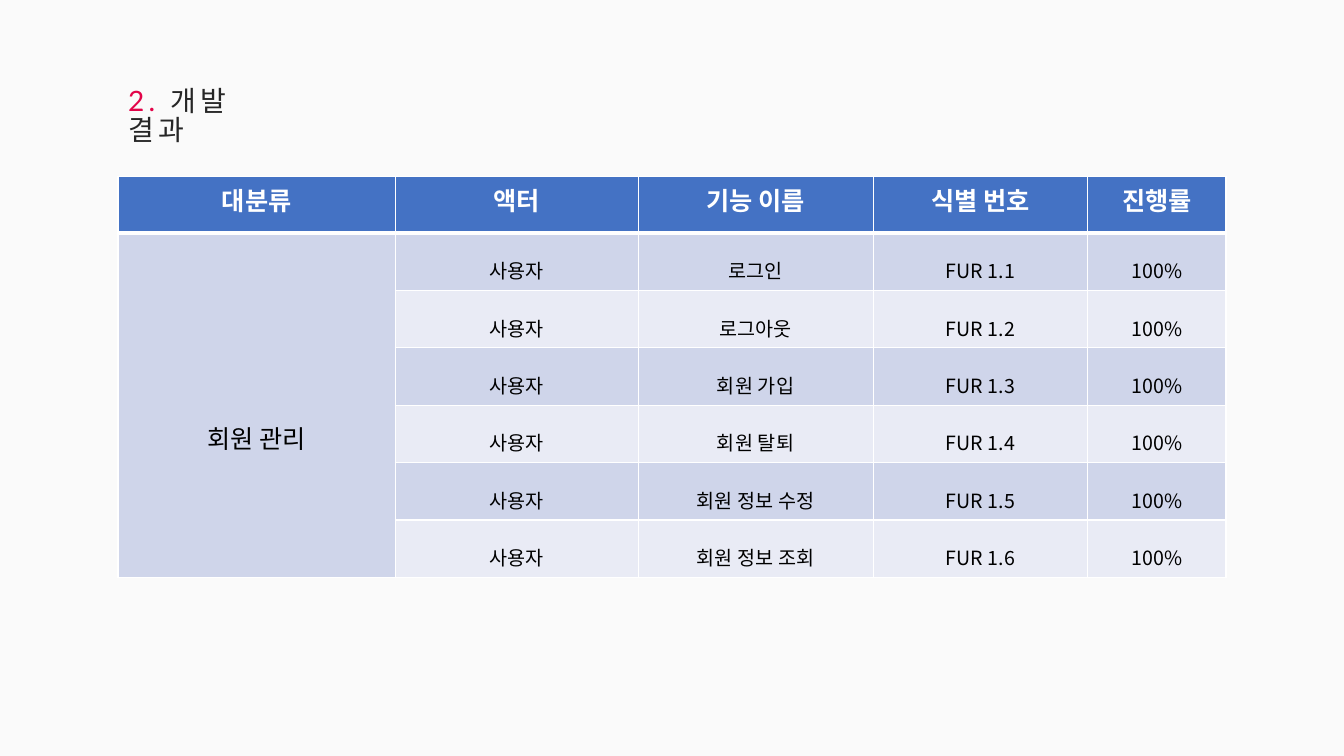
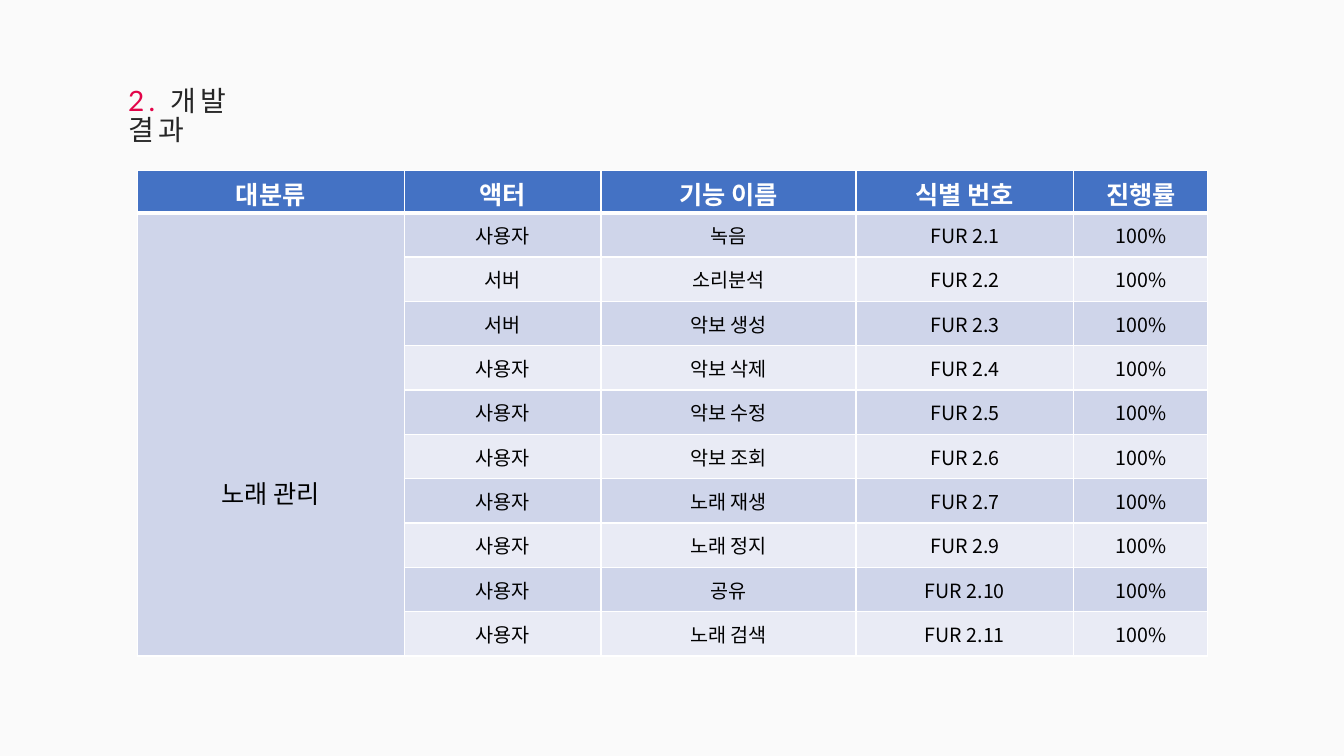
from lxml import etree
from pptx import Presentation
from pptx.dml.color import RGBColor
from pptx.enum.text import MSO_ANCHOR, MSO_AUTO_SIZE, PP_ALIGN
from pptx.oxml.ns import qn
from pptx.util import Emu, Pt

CENTER = PP_ALIGN.CENTER
LEFT = PP_ALIGN.LEFT
TOP = MSO_ANCHOR.TOP
MIDDLE = MSO_ANCHOR.MIDDLE
GROW = MSO_AUTO_SIZE.SHAPE_TO_FIT_TEXT

EMU_PER_PX = 9144
TITLE_ONLY = 5
KOREAN = "Noto Sans CJK KR"
LATIN = "Lato"
PAPER = "FAFAFA"
WHITE = "FFFFFF"
BLACK = "000000"
INK = "262626"
CRIMSON = "E20449"
BLUE = "4472C4"
BANDS = ("CFD5EA", "E9EBF5")
HEADINGS = ("대분류", "액터", "기능 이름", "식별 번호", "진행률")
USER = "사용자"
SERVER = "서버"

MEMBER_FEATURES = [
    (USER, "로그인", "FUR 1.1"),
    (USER, "로그아웃", "FUR 1.2"),
    (USER, "회원 가입", "FUR 1.3"),
    (USER, "회원 탈퇴", "FUR 1.4"),
    (USER, "회원 정보 수정", "FUR 1.5"),
    (USER, "회원 정보 조회", "FUR 1.6"),
]
SONG_FEATURES = [
    (USER, "녹음", "FUR 2.1"),
    (SERVER, "소리분석", "FUR 2.2"),
    (SERVER, "악보 생성", "FUR 2.3"),
    (USER, "악보 삭제", "FUR 2.4"),
    (USER, "악보 수정", "FUR 2.5"),
    (USER, "악보 조회", "FUR 2.6"),
    (USER, "노래 재생", "FUR 2.7"),
    (USER, "노래 정지", "FUR 2.9"),
    (USER, "공유", "FUR 2.10"),
    (USER, "노래 검색", "FUR 2.11"),
]


def px(length):
    """Turn whole pixels into EMU."""
    return Emu(length * EMU_PER_PX)


def color(value):
    """Turn a hex string into a colour."""
    return RGBColor.from_string(value)


def style_font(font, properties, size, shade, name=KOREAN, bold=False, spacing=0):
    """Format a font and its East Asian face and letter spacing."""
    font.size = Pt(size)
    font.bold = bold
    font.name = name
    font.color.rgb = color(shade)
    etree.SubElement(properties, qn("a:ea")).set("typeface", KOREAN)
    if spacing:
        properties.set("spc", str(spacing))


class ResultDeck:
    """Holds the shared style and the current page."""

    def __init__(self):
        """Start a deck with its paper colour."""
        self.deck = Presentation()
        self.deck.slide_width = px(1333)
        self.deck.slide_height = px(750)
        background = self.deck.slide_master.background.fill
        background.solid()
        background.fore_color.rgb = color(PAPER)
        self.page = None

    def add_page(self, number, heading):
        """Add a page with a numbered title."""
        self.page = self.deck.slides.add_slide(self.deck.slide_layouts[TITLE_ONLY])
        title = self.page.shapes.title
        title.left, title.top, title.width, title.height = map(px, (117, 83, 178, 44))
        frame = title.text_frame
        frame.word_wrap = True
        frame.auto_size = GROW
        frame.vertical_anchor = TOP
        para = frame.paragraphs[0]
        para.alignment = LEFT
        para.line_spacing = 0.85
        for text, name, shade in ((number, LATIN, CRIMSON), (heading, KOREAN, INK)):
            span = para.add_run()
            span.text = text
            style_font(span.font, span._r.get_or_add_rPr(), 20, shade, name, spacing=300)

    def draw_borders(self, cell, top, bottom):
        """Give a cell white borders, with top and bottom widths in points."""
        properties = cell._tc.get_or_add_tcPr()
        for side, width in (("L", 1), ("R", 1), ("T", top), ("B", bottom)):
            line = etree.SubElement(properties, qn(f"a:ln{side}"), w=str(Pt(width)))
            fill = etree.SubElement(line, qn("a:solidFill"))
            etree.SubElement(fill, qn("a:srgbClr"), val=WHITE)

    def fill_cell(self, cell, text, fill, size, shade=BLACK, bold=False,
                  anchor=MIDDLE, spacing=0, line_spacing=None, borders=(1, 1)):
        """Write centred text in a filled and bordered cell."""
        self.draw_borders(cell, *borders)
        cell.fill.solid()
        cell.fill.fore_color.rgb = color(fill)
        cell.vertical_anchor = anchor
        cell.text = text
        para = cell.text_frame.paragraphs[0]
        para.alignment = CENTER
        if line_spacing:
            para.line_spacing = line_spacing
        properties = para._p.get_or_add_pPr().get_or_add_defRPr()
        style_font(para.font, properties, size, shade, bold=bold, spacing=spacing)

    def add_feature_table(self, left, top, widths, heights, category, drop, features,
                          margins=(10, 5), spacing=0, line_spacing=None):
        """Add a table of features under one merged category cell."""
        frame = self.page.shapes.add_table(
            len(heights), len(widths), px(left), px(top), px(sum(widths)), px(sum(heights)))
        table = frame.table
        for column, width in zip(table.columns, widths):
            column.width = px(width)
        for row, height in zip(table.rows, heights):
            row.height = px(height)
        for index, heading in enumerate(HEADINGS):
            cell = table.cell(0, index)
            self.fill_cell(cell, heading, BLUE, 18, WHITE, True, TOP, borders=(1, 3))
            cell.margin_bottom = 0
        group = table.cell(1, 0)
        group.merge(table.cell(len(features), 0))
        self.fill_cell(group, category, BANDS[0], 18, borders=(3, 1))
        group.margin_top = px(drop)
        across, down = map(px, margins)
        for row, feature in enumerate(features, 1):
            for column, text in enumerate((*feature, "100%"), 1):
                cell = table.cell(row, column)
                self.fill_cell(cell, text, BANDS[(row - 1) % 2], 14, spacing=spacing,
                               line_spacing=line_spacing,
                               borders=(3 if row == 1 else 1, 1))
                cell.margin_left = cell.margin_right = across
                cell.margin_top = cell.margin_bottom = down


def main():
    """Build and save the two result pages."""
    results = ResultDeck()
    results.add_page("2. ", "개발 결과")
    results.add_feature_table(
        117, 175, (275, 241, 233, 213, 137), [56] + [57] * 6, "회원 관리", 70,
        MEMBER_FEATURES, margins=(7, 2), spacing=10, line_spacing=1.6)
    results.add_page("2. ", "개발 결과")
    results.add_feature_table(
        136, 169, (265, 195, 253, 216, 133), [42] + [44] * 10, "노래 관리", 120,
        SONG_FEATURES)
    results.deck.save("out.pptx")


if __name__ == "__main__":
    main()
